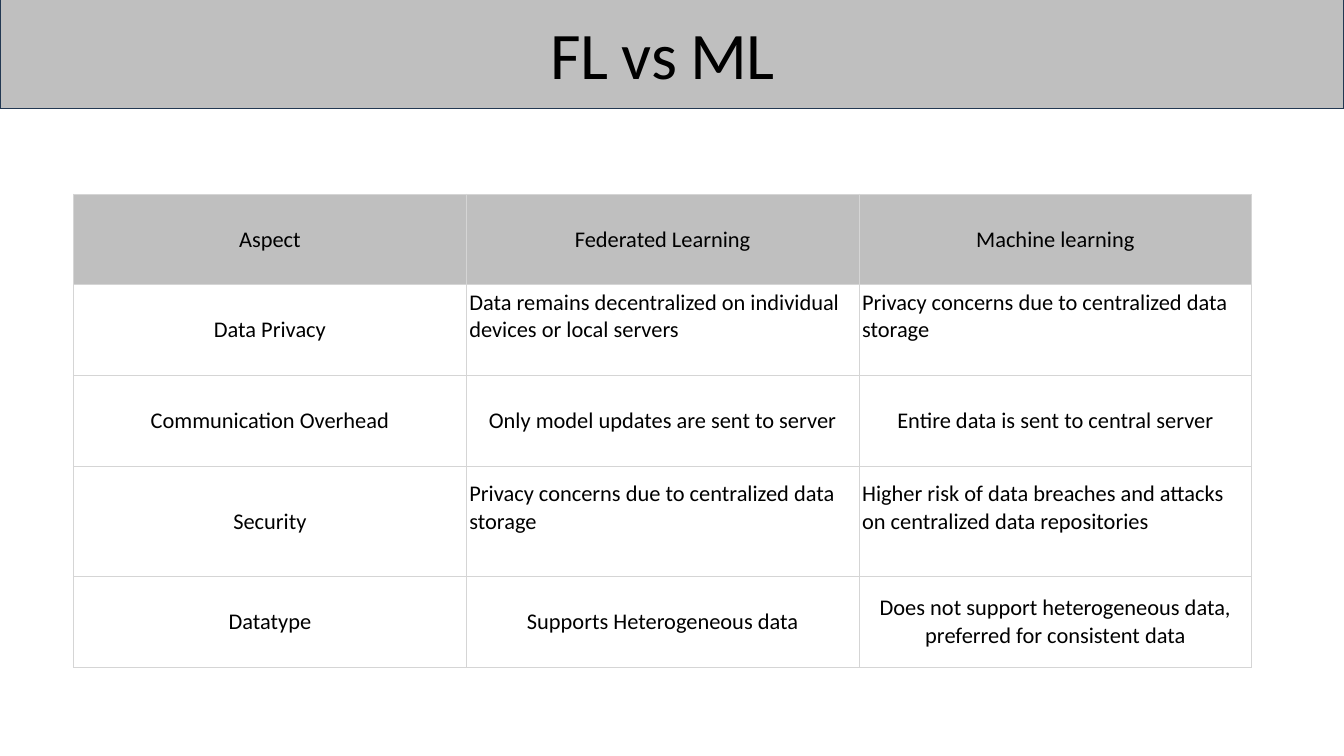
from dataclasses import dataclass
from lxml import etree
from pptx import Presentation
from pptx.dml.color import RGBColor
from pptx.enum.shapes import MSO_SHAPE
from pptx.enum.text import MSO_ANCHOR, PP_ALIGN
from pptx.oxml.ns import qn
from pptx.util import Inches, Pt

RECT = MSO_SHAPE.RECTANGLE
MIDDLE = MSO_ANCHOR.MIDDLE
LEFT, CENTER = PP_ALIGN.LEFT, PP_ALIGN.CENTER


@dataclass(frozen=True)
class Theme:
    font: str = "Calibri"
    ink: str = "000000"
    gray: str = "BFBFBF"
    navy: str = "223852"
    rule: str = "D5D5D5"
    title: int = 95
    body: int = 32


THEME = Theme()

HEADS = ["Aspect", "Federated Learning", "Machine learning"]
# Aspect, federated text, machine text, whether the texts are raised notes
ROWS = [
    ("Data Privacy",
     "Data remains decentralized on individual devices or local servers",
     "Privacy concerns due to centralized data storage", True),
    ("Communication Overhead",
     "Only model updates are sent to server",
     "Entire data is sent to central server", False),
    ("Security",
     "Privacy concerns due to centralized data storage",
     "Higher risk of data breaches and attacks on centralized data repositories",
     True),
    ("Datatype",
     "Supports Heterogeneous data",
     "Does not support heterogeneous data, preferred for consistent data", False),
]
HEIGHTS = [1.8, 1.8, 1.8, 2.19, 1.8]


def color(code):
    return RGBColor.from_string(code)


def write(frame, text, size, align):
    para = frame.paragraphs[0]
    para.alignment = align
    run = para.add_run()
    run.text = text
    font = run.font
    font.name, font.size, font.bold = THEME.font, Pt(size), False
    font.color.rgb = color(THEME.ink)
    return run


def border(cell):
    props = cell._tc.get_or_add_tcPr()
    for at, side in enumerate(("lnL", "lnR", "lnT", "lnB")):
        line = etree.Element(qn(f"a:{side}"), w=str(Pt(0.96)))
        fill = etree.SubElement(line, qn("a:solidFill"))
        etree.SubElement(fill, qn("a:srgbClr"), val=THEME.rule)
        props.insert(at, line)


def banner(slide, left, top, width, height):
    bar = slide.shapes.add_shape(
        RECT, Inches(left), Inches(top), Inches(width), Inches(height))
    bar.shadow.inherit = False
    bar.fill.solid()
    bar.fill.fore_color.rgb = color(THEME.gray)
    bar.line.color.rgb = color(THEME.navy)
    bar.line.width = Pt(2)

    # Title
    box = slide.shapes.add_textbox(
        Inches(left + 7.15), Inches(top + 0.26), Inches(12), Inches(1.67))
    frame = box.text_frame
    frame.word_wrap = True
    frame.vertical_anchor = MIDDLE
    frame.margin_left = frame.margin_right = 0
    frame.margin_top = frame.margin_bottom = 0
    run = write(frame, "FL vs ML", THEME.title, CENTER)
    run.font._element.set("spc", "-100")


def fill_cell(cell, text, head=False, note=False):
    cell.vertical_anchor = MIDDLE
    cell.margin_left = cell.margin_right = Inches(0.06)
    cell.margin_top = Inches(0.05)
    # A note sits one line higher than the middle would put it
    cell.margin_bottom = Inches(0.59 if note else 0.05)
    if head:
        cell.fill.solid()
        cell.fill.fore_color.rgb = color(THEME.gray)
    else:
        cell.fill.background()
    border(cell)
    write(cell.text_frame, text, THEME.body, LEFT if note else CENTER)


def compare(slide, left, top, width):
    table = slide.shapes.add_table(
        len(HEIGHTS), len(HEADS), Inches(left), Inches(top),
        Inches(width), Inches(sum(HEIGHTS))).table
    table.first_row = table.horz_banding = False
    for col in table.columns:
        col.width = Inches(width / len(HEADS))
    for row, height in zip(table.rows, HEIGHTS):
        row.height = Inches(height)

    # Header, then one row for each aspect
    for c, text in enumerate(HEADS):
        fill_cell(table.cell(0, c), text, head=True)
    for r, (*texts, raised) in enumerate(ROWS, 1):
        for c, text in enumerate(texts):
            fill_cell(table.cell(r, c), text, note=raised and c > 0)


def main():
    deck = Presentation()
    deck.slide_width, deck.slide_height = Inches(26.67), Inches(15)
    slide = deck.slides.add_slide(deck.slide_layouts[6])
    banner(slide, 0, -0.04, 26.67, 2.19)
    compare(slide, 1.46, 3.85, 23.38)
    deck.save("out.pptx")


if __name__ == "__main__":
    main()
